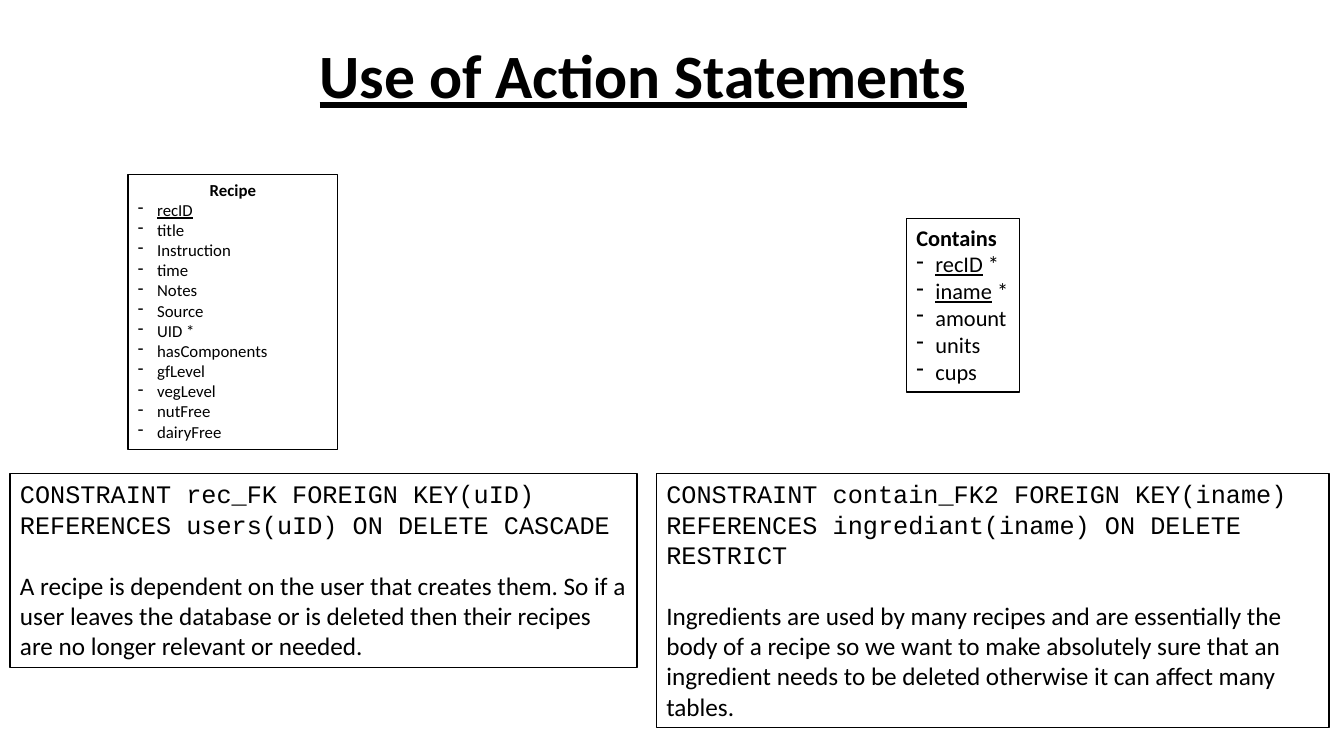
"""Build a slide on foreign key action statements for two database tables."""
from lxml import etree
from pptx import Presentation
from pptx.dml.color import RGBColor
from pptx.enum.text import MSO_ANCHOR, MSO_AUTO_SIZE, PP_ALIGN
from pptx.oxml.ns import qn
from pptx.util import Inches, Pt

BLACK = RGBColor(0x00, 0x00, 0x00)
WHITE = RGBColor(0xFF, 0xFF, 0xFF)
CENTER, LEFT = PP_ALIGN.CENTER, PP_ALIGN.LEFT
MIDDLE = MSO_ANCHOR.MIDDLE
GROW = MSO_AUTO_SIZE.SHAPE_TO_FIT_TEXT
BODY_FONT, CODE_FONT = "Calibri", "Courier New"
BULLET_INDENT = Inches(0.19)

deck = Presentation()
deck.slide_width, deck.slide_height = Inches(13.33), Inches(7.5)
page = deck.slides.add_slide(deck.slide_layouts[5])
column, row = deck.slide_width / 100, deck.slide_height / 100


def add_run(para, text, size, font=BODY_FONT, bold=False, underline=False):
    """Append one black run to a paragraph."""
    run = para.add_run()
    run.text = text
    run.font.name, run.font.size = font, Pt(size)
    run.font.bold, run.font.underline = bold, underline
    run.font.color.rgb = BLACK


def add_panel(left, top, width, height, wrap=True):
    """Add an outlined text panel placed in percent of the slide."""
    box = page.shapes.add_textbox(int(left * column), int(top * row),
                                  int(width * column), int(height * row))
    box.fill.solid()
    box.fill.fore_color.rgb = WHITE
    box.line.color.rgb = BLACK
    box.line.width = Pt(1)
    box.text_frame.word_wrap = wrap
    box.text_frame.auto_size = GROW
    return box.text_frame


title = page.shapes.title
title.left, title.top = int(21.3 * column), int(2.67 * row)
title.width, title.height = int(53.11 * column), int(15.47 * row)
title.text_frame.vertical_anchor = MIDDLE
title_para = title.text_frame.paragraphs[0]
title_para.alignment = CENTER
title_para.line_spacing = 0.9
add_run(title_para, "Use of Action Statements", 44, bold=True, underline=True)

tables = [
    ("Recipe", (9.53, 23.07, 15.6, 36.4), True, 12, CENTER, ["recID"],
     ["recID", "title", "Instruction", "time", "Notes", "Source", "UID *",
      "hasComponents", "gfLevel", "vegLevel", "nutFree", "dairyFree"]),
    ("Contains", (67.44, 28.93, 8.4, 22.93), False, 16, LEFT, ["recID", "iname"],
     ["recID *", "iname *", "amount", "units", "cups"]),
]
for name, place, wrap, size, alignment, keys, fields in tables:
    frame = add_panel(*place, wrap=wrap)
    heading = frame.paragraphs[0]
    heading.alignment = alignment
    add_run(heading, name, size, bold=True)
    for field in fields:
        para = frame.add_paragraph()
        properties = para._p.get_or_add_pPr()
        properties.set("marL", str(BULLET_INDENT))
        properties.set("indent", str(-BULLET_INDENT))
        etree.SubElement(properties, qn("a:buChar")).set("char", "-")
        label, space, star = field.partition(" ")
        add_run(para, label, size, underline=label in keys)
        if star:
            add_run(para, space + star, size)

constraints = [
    ((0.75, 62.67, 46.66, 25.6),
     "CONSTRAINT rec_FK FOREIGN KEY(uID) REFERENCES users(uID) ON DELETE CASCADE",
     "A recipe is dependent on the user that creates them. So if a user leaves "
     "the database or is deleted then their recipes are no longer relevant or needed."),
    ((48.84, 62.67, 50.04, 33.6),
     "CONSTRAINT contain_FK2 FOREIGN KEY(iname) REFERENCES ingrediant(iname) "
     "ON DELETE RESTRICT",
     "Ingredients are used by many recipes and are essentially the body of a recipe "
     "so we want to make absolutely sure that an ingredient needs to be deleted "
     "otherwise it can affect many tables."),
]
for place, statement, reason in constraints:
    frame = add_panel(*place)
    add_run(frame.paragraphs[0], statement, 18, font=CODE_FONT)
    reason_para = frame.add_paragraph()
    reason_para.space_before = Pt(22)
    add_run(reason_para, reason, 18)

deck.save("out.pptx")
